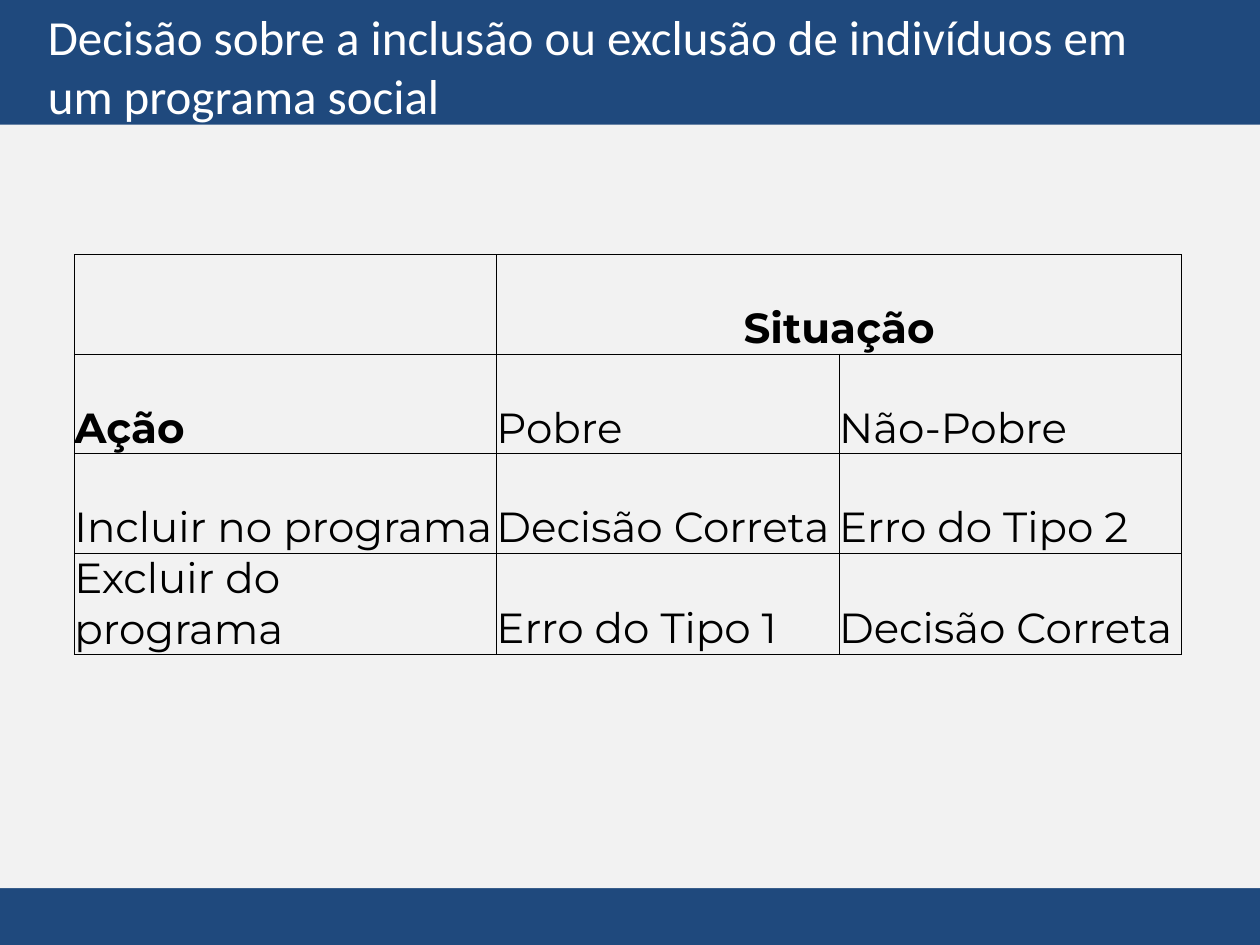
from lxml import etree
from pptx import Presentation
from pptx.dml.color import RGBColor
from pptx.enum.shapes import MSO_SHAPE
from pptx.enum.text import MSO_ANCHOR, MSO_AUTO_SIZE, PP_ALIGN
from pptx.oxml.ns import qn
from pptx.util import Inches, Pt

RECT = MSO_SHAPE.RECTANGLE
TOP, BOTTOM = MSO_ANCHOR.TOP, MSO_ANCHOR.BOTTOM
LEFT, CENTER = PP_ALIGN.LEFT, PP_ALIGN.CENTER
GROW = MSO_AUTO_SIZE.SHAPE_TO_FIT_TEXT

WIDE, HIGH = 10, 7.5
COLORS = {"navy": "1F497D", "panel": "F2F2F2", "ink": "000000", "title": "FFFFFF"}
TITLE = "Decisão sobre a inclusão ou exclusão de indivíduos em um programa social"
COLS = [3.35, 2.72, 2.72]
ROW = 0.79
CELLS = [
    ["", "Situação", ""],
    ["Ação", "Pobre", "Não-Pobre"],
    ["Incluir no programa", "Decisão Correta", "Erro do Tipo 2"],
    ["Excluir do programa", "Erro do Tipo 1", "Decisão Correta"],
]
BOLD = {"Situação", "Ação"}


def color(name):
    return RGBColor.from_string(COLORS[name])


def place(shape, left, top, width, height):
    shape.left, shape.top = Inches(left), Inches(top)
    shape.width, shape.height = Inches(width), Inches(height)


def add_run(para, text, font, size, ink, bold=False):
    run = para.add_run()
    run.text = text
    run.font.name, run.font.size, run.font.bold = font, Pt(size), bold
    run.font.color.rgb = color(ink)


def add_title(slide):
    title = slide.shapes.title
    place(title, 0.28, 0, 9.29, 1.04)
    frame = title.text_frame
    frame.word_wrap, frame.auto_size = True, GROW
    frame.vertical_anchor = TOP
    para = frame.paragraphs[0]
    para.alignment = LEFT
    add_run(para, TITLE, "Calibri", 28, "title")


def add_panel(slide):
    panel = slide.shapes.add_shape(RECT, 0, Inches(0.99), Inches(WIDE), Inches(6.06))
    panel.shadow.inherit = False
    panel.fill.solid()
    panel.fill.fore_color.rgb = color("panel")
    panel.line.fill.background()
    slide.shapes.title.element.addprevious(panel.element)


def add_border(cell):
    props = cell._tc.get_or_add_tcPr()
    for side in ("a:lnL", "a:lnR", "a:lnT", "a:lnB"):
        line = etree.SubElement(props, qn(side), w=str(Pt(0.5)))
        fill = etree.SubElement(line, qn("a:solidFill"))
        etree.SubElement(fill, qn("a:srgbClr"), val=COLORS["ink"])


def fill_cell(cell, text):
    add_border(cell)
    cell.fill.background()
    cell.vertical_anchor = BOTTOM
    cell.margin_left = cell.margin_right = cell.margin_top = cell.margin_bottom = 0
    if text:
        para = cell.text_frame.paragraphs[0]
        para.alignment = CENTER if cell.is_merge_origin else LEFT
        add_run(para, text, "Montserrat", 24, "ink", text in BOLD)


def add_grid(slide):
    size = Inches(sum(COLS)), Inches(ROW * len(CELLS))
    frame = slide.shapes.add_table(len(CELLS), len(COLS), Inches(0.59), Inches(2.02), *size)
    table = frame.table
    table.first_row = table.horz_banding = False
    for col, width in zip(table.columns, COLS):
        col.width = Inches(width)
    for row in table.rows:
        row.height = Inches(ROW)
    table.cell(0, 1).merge(table.cell(0, 2))
    for r, texts in enumerate(CELLS):
        for c, text in enumerate(texts):
            fill_cell(table.cell(r, c), text)


def main():
    deck = Presentation()
    deck.slide_width, deck.slide_height = Inches(WIDE), Inches(HIGH)
    slide = deck.slides.add_slide(deck.slide_layouts[5])
    back = slide.background.fill
    back.solid()
    back.fore_color.rgb = color("navy")
    add_panel(slide)
    add_grid(slide)
    add_title(slide)
    deck.save("out.pptx")


if __name__ == "__main__":
    main()
